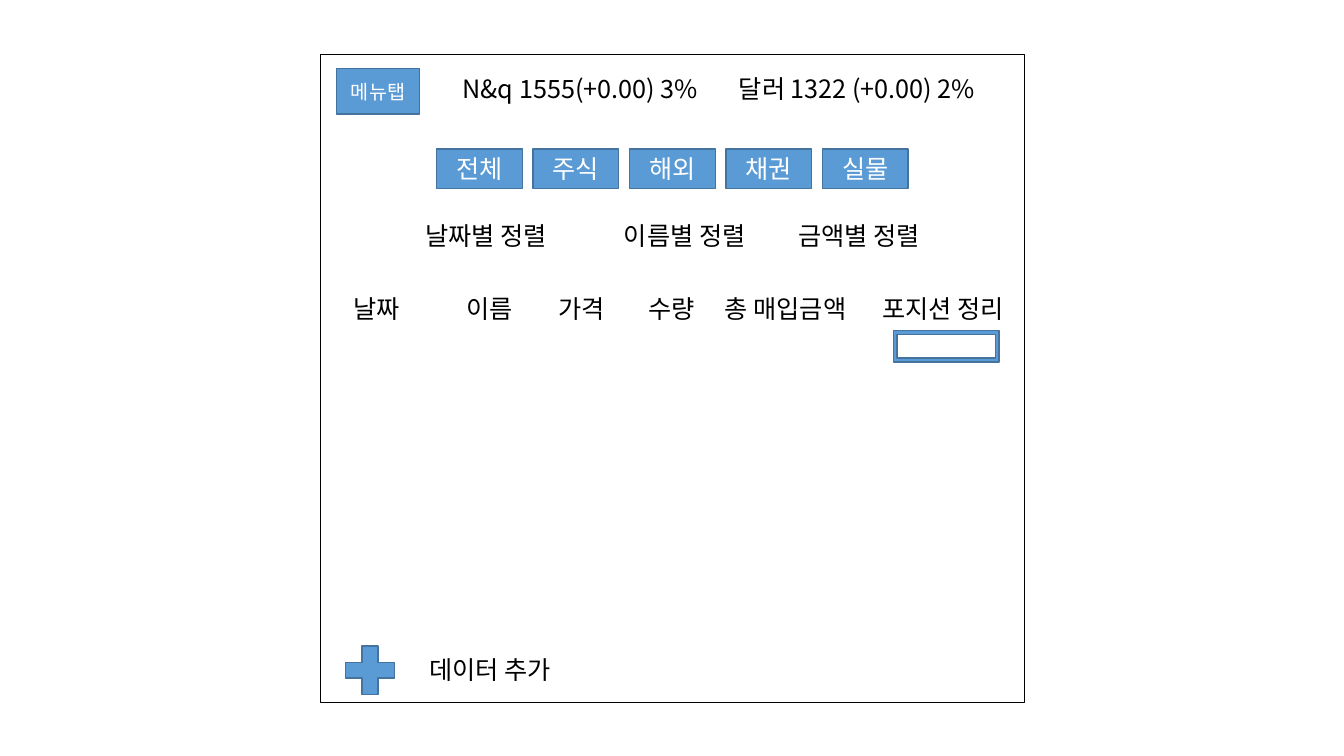
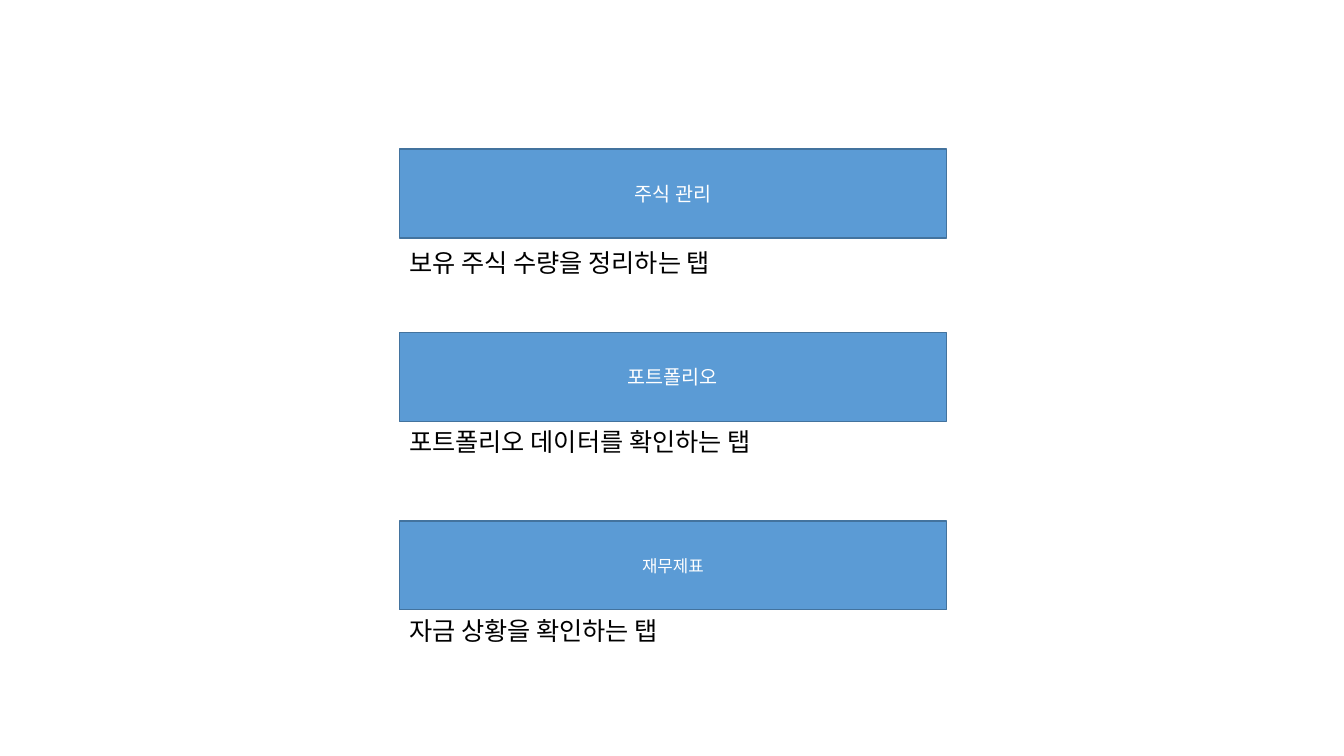
from lxml import etree
from pptx import Presentation
from pptx.dml.color import RGBColor
from pptx.enum.shapes import MSO_SHAPE
from pptx.enum.text import MSO_ANCHOR, PP_ALIGN
from pptx.oxml.ns import qn
from pptx.util import Inches, Pt

RECTANGLE, PLUS, FRAME = MSO_SHAPE.RECTANGLE, MSO_SHAPE.MATH_PLUS, MSO_SHAPE.FRAME
MIDDLE, LEFT, CENTER = MSO_ANCHOR.MIDDLE, PP_ALIGN.LEFT, PP_ALIGN.CENTER
BLUE = RGBColor(0x5B, 0x9B, 0xD5)
DARK_BLUE = RGBColor(0x43, 0x73, 0x9E)
WHITE = RGBColor(0xFF, 0xFF, 0xFF)
BLACK = RGBColor(0, 0, 0)
FONT = "Noto Sans CJK KR"
BLANK_LAYOUT = 6

# Content: labels come with their left edge where spacing is irregular
CATEGORIES = ["전체", "주식", "해외", "채권", "실물"]
QUOTES = [("N&q 1555(+0.00) 3%", 4.49, 2.6), ("달러 1322 (+0.00) 2%", 7.23, 3.27)]
SORTS = [("날짜별 정렬", 4.12), ("이름별 정렬", 6.09), ("금액별 정렬", 7.82)]
HEADINGS = [("날짜", 3.41), ("이름", 4.53), ("가격", 5.44), ("수량", 6.33),
            ("총 매입금액", 7.09), ("포지션 정리", 8.65)]
# Menu tab, its size, its top, description, top of the description
MENU = [("주식 관리", 14, 1.48, "보유 주식 수량을 정리하는 탭", 2.4),
        ("포트폴리오", 14, 3.3, "포트폴리오 데이터를 확인하는 탭", 4.18),
        ("재무제표", 12, 5.17, "자금 상황을 확인하는 탭", 6.05)]

# Grid, in inches
PANEL = (3.18, 0.54, 6.98, 6.43)
MARGIN_LEFT = 3.34
QUOTE_TOP, CATEGORY_TOP, SORT_TOP, HEADING_TOP = 0.68, 1.48, 2.15, 2.88
CATEGORY_LEFT, CATEGORY_STEP = 4.33, 0.957
LABEL_WIDTH, LABEL_HEIGHT, LINE_HEIGHT = 1.8, 0.37, 0.4
MENU_LEFT, MENU_WIDTH, MENU_HEIGHT, NOTE_WIDTH = 3.96, 5.43, 0.88, 4.82


def write(shape, text, size=18, color=BLACK, align=LEFT):
    """Put one formatted line of text in the vertical middle of a shape."""
    frame = shape.text_frame
    frame.word_wrap = True
    frame.vertical_anchor = MIDDLE
    frame.margin_top = frame.margin_bottom = 0
    para = frame.paragraphs[0]
    para.alignment = align
    span = para.add_run()
    span.text = text
    span.font.size = Pt(size)
    span.font.name = FONT
    span.font.color.rgb = color
    east_asian = etree.SubElement(span.font._element, qn("a:ea"))
    east_asian.set("typeface", FONT)


def add_box(page, area, kind=RECTANGLE, text="", size=18, fill=BLUE, line=DARK_BLUE):
    """Add a filled, outlined shape with an optional centred white label."""
    box = page.shapes.add_shape(kind, *map(Inches, area))
    box.shadow.inherit = False
    box.fill.solid()
    box.fill.fore_color.rgb = fill
    box.line.color.rgb = line
    box.line.width = Pt(1)
    if text:
        write(box, text, size=size, color=WHITE, align=CENTER)


def add_label(page, text, left, top, width=LABEL_WIDTH, height=LABEL_HEIGHT):
    """Add a line of plain black text."""
    write(page.shapes.add_textbox(*map(Inches, (left, top, width, height))), text)


def build_list_page(page):
    """Draw the wireframe of the holdings list."""
    add_box(page, PANEL, fill=WHITE, line=BLACK)
    add_box(page, (MARGIN_LEFT, QUOTE_TOP, 0.82, 0.45), text="메뉴탭", size=14)
    for text, left, width in QUOTES:
        add_label(page, text, left, QUOTE_TOP, width, LINE_HEIGHT)
    for column, text in enumerate(CATEGORIES):
        left = CATEGORY_LEFT + column * CATEGORY_STEP
        add_box(page, (left, CATEGORY_TOP, 0.85, 0.39), text=text)
    for top, labels in ((SORT_TOP, SORTS), (HEADING_TOP, HEADINGS)):
        for text, left in labels:
            add_label(page, text, left, top)
    add_box(page, (8.86, 3.28, 1.05, 0.31), FRAME)
    add_box(page, (MARGIN_LEFT, 6.32, 0.66, 0.66), PLUS)
    add_label(page, "데이터 추가", 4.16, 6.44, 2.76, LINE_HEIGHT)


def build_menu_page(page):
    """Draw the menu tabs, each with its description below."""
    for name, size, top, note, note_top in MENU:
        add_box(page, (MENU_LEFT, top, MENU_WIDTH, MENU_HEIGHT), text=name, size=size)
        add_label(page, note, MENU_LEFT, note_top, NOTE_WIDTH, LINE_HEIGHT)


deck = Presentation()
deck.slide_width, deck.slide_height = Inches(13.33), Inches(7.5)
for build in (build_list_page, build_menu_page):
    build(deck.slides.add_slide(deck.slide_layouts[BLANK_LAYOUT]))
deck.save("out.pptx")
